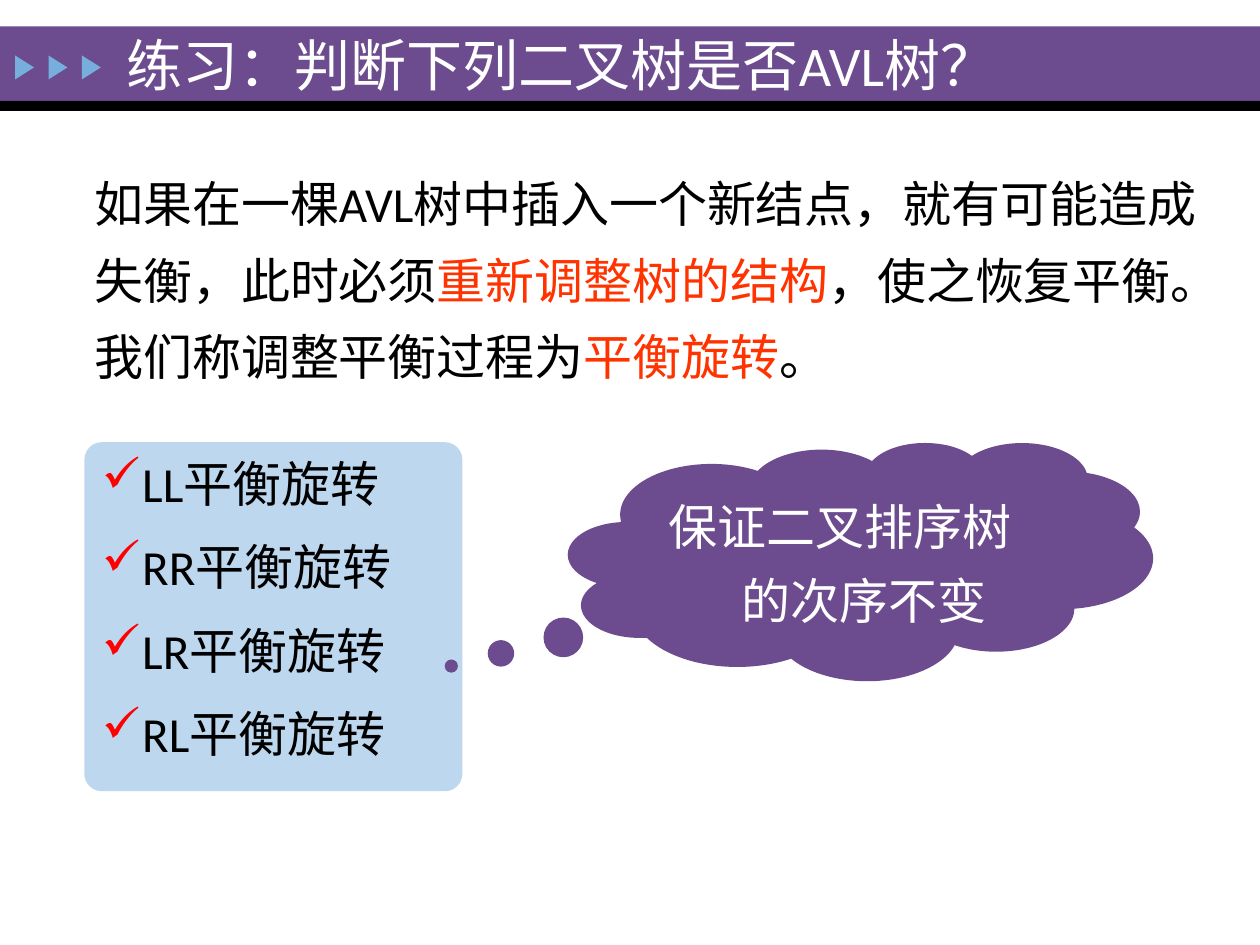
import pptx
import pptx.util
import pptx.dml.color
import pptx.enum.shapes
import pptx.enum.text
import pptx.oxml.ns
from lxml import etree

Inches, Pt = pptx.util.Inches, pptx.util.Pt
KIND = pptx.enum.shapes.MSO_SHAPE
ANCHOR = pptx.enum.text.MSO_ANCHOR
ALIGN = pptx.enum.text.PP_ALIGN
COLORS = {
    "purple": "6C4C8F", "black": "000000", "arrow": "76AEDD", "accent": "FF3300",
    "panel": "BDD7EE", "check": "FF0000", "white": "FFFFFF",
}
FONT = "Calibri"


def color(name):
    return pptx.dml.color.RGBColor.from_string(COLORS[name])


def style(run, tint, size=28):
    run.font.name = FONT
    run.font.size = Pt(size)
    run.font.color.rgb = color(tint)


def block(slide, kind, box, fill):
    """Add a plain filled shape without line or shadow."""
    shape = slide.shapes.add_shape(kind, *map(Inches, box))
    shape.shadow.inherit = False
    shape.fill.solid()
    shape.fill.fore_color.rgb = color(fill)
    shape.line.fill.background()
    return shape


def indent(para, left, first):
    props = para._p.get_or_add_pPr()
    props.set("marL", str(Inches(left)))
    props.set("indent", str(Inches(first)))
    return props


def bullet(para, mark, tint):
    props = indent(para, 0.32, -0.32)
    tag = pptx.oxml.ns.qn
    tone = etree.SubElement(props, tag("a:buClr"))
    etree.SubElement(tone, tag("a:srgbClr"), val=COLORS[tint])
    etree.SubElement(props, tag("a:buChar"), char=mark)


def header(slide, box, text):
    left, top, width, height = box
    block(slide, KIND.RECTANGLE, box, "purple")
    block(slide, KIND.RECTANGLE, (left, top + height, width, 0.08), "black")
    for i in range(3):
        spot = (left + 0.1 + 0.265 * i, top + 0.25, 0.19, 0.15)
        block(slide, KIND.ISOSCELES_TRIANGLE, spot, "arrow").rotation = 90
    title = slide.shapes.title
    title.left, title.top = Inches(left + 0.9), Inches(top + 0.01)
    title.width, title.height = Inches(7.2), Inches(0.57)
    frame = title.text_frame
    frame.text = text
    frame.vertical_anchor = ANCHOR.MIDDLE
    frame.auto_size = pptx.enum.text.MSO_AUTO_SIZE.NONE
    para = frame.paragraphs[0]
    para.alignment = ALIGN.LEFT
    style(para.runs[0], "white", 32)
    slide.shapes._spTree.append(title._element)  # bring in front of the band


def intro(slide, box, parts):
    frame = slide.shapes.add_textbox(*map(Inches, box)).text_frame
    frame.word_wrap = True
    para = frame.paragraphs[0]
    para.line_spacing = 1.3
    for text, tint in parts:
        run = para.add_run()
        run.text = text
        style(run, tint)


def checks(slide, box, names):
    panel = block(slide, KIND.ROUNDED_RECTANGLE, box, "panel")
    panel.adjustments[0] = 0.05
    frame = panel.text_frame
    frame.vertical_anchor = ANCHOR.TOP
    frame.text = "\n".join(names)
    for i, para in enumerate(frame.paragraphs):
        bullet(para, "✓", "check")
        para.alignment = ALIGN.LEFT
        if i:
            para.space_before = Pt(14)
        style(para.runs[0], "black")


def cloud(slide, box, text):
    shape = block(slide, KIND.CLOUD_CALLOUT, box, "purple")
    shape.adjustments[0], shape.adjustments[1] = -0.7, 0.44
    frame = shape.text_frame
    frame.word_wrap = True
    frame.vertical_anchor = ANCHOR.MIDDLE
    frame.text = text
    para = frame.paragraphs[0]
    indent(para, 0.38, -0.38)
    para.alignment = ALIGN.CENTER
    para.line_spacing = 1.25
    style(para.runs[0], "white")


def main():
    deck = pptx.Presentation()
    deck.slide_width, deck.slide_height = Inches(10), Inches(7.5)
    slide = deck.slides.add_slide(deck.slide_layouts[5])
    header(slide, (0, 0.21, 10, 0.59), "练习：判断下列二叉树是否AVL树？")
    intro(slide, (0.65, 1.19, 8.99, 1.92), [
        ("如果在一棵AVL树中插入一个新结点，就有可能造成失衡，此时必须", "black"),
        ("重新调整树的结构", "accent"),
        ("，使之恢复平衡。我们称调整平衡过程为", "black"),
        ("平衡旋转", "accent"),
        ("。", "black"),
    ])
    checks(slide, (0.67, 3.51, 3, 2.77),
           [f"{turn}平衡旋转" for turn in ("LL", "RR", "LR", "RL")])
    cloud(slide, (4.51, 3.51, 4.64, 1.89), "保证二叉排序树的次序不变")
    deck.save("out.pptx")


if __name__ == "__main__":
    main()
